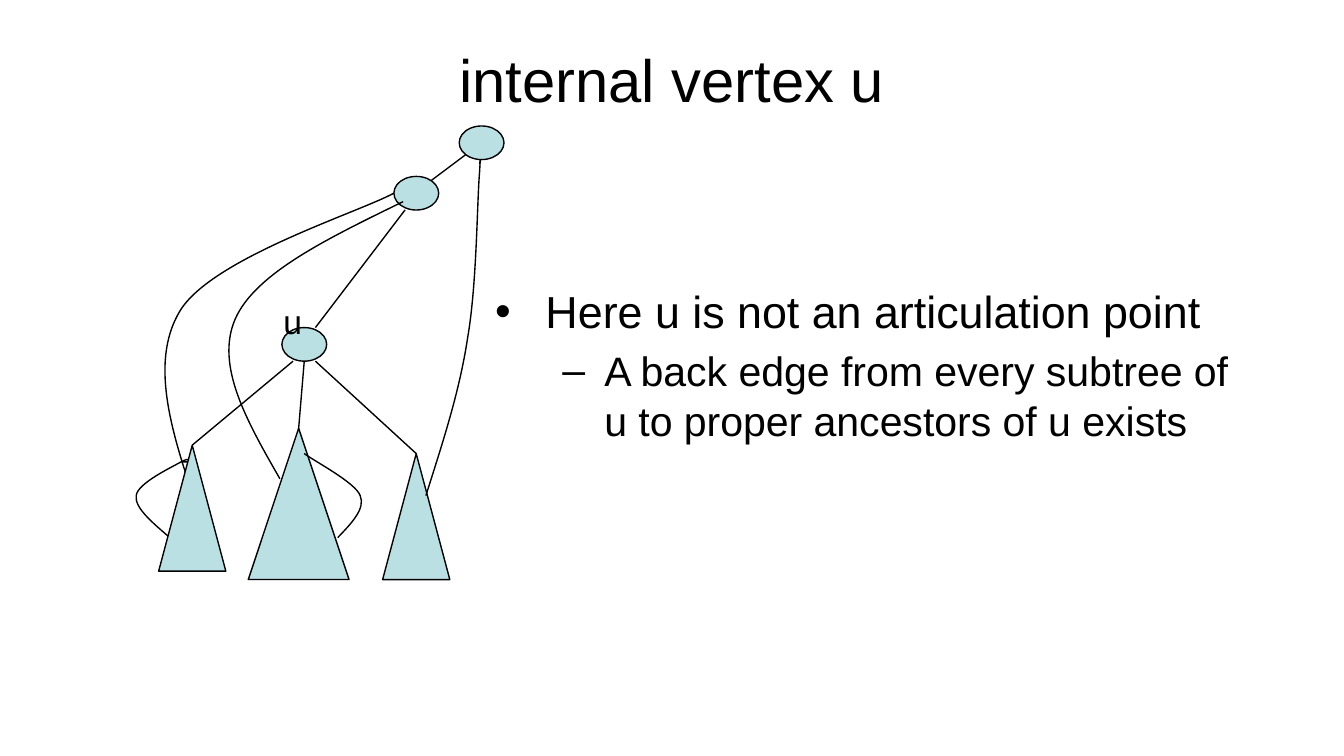
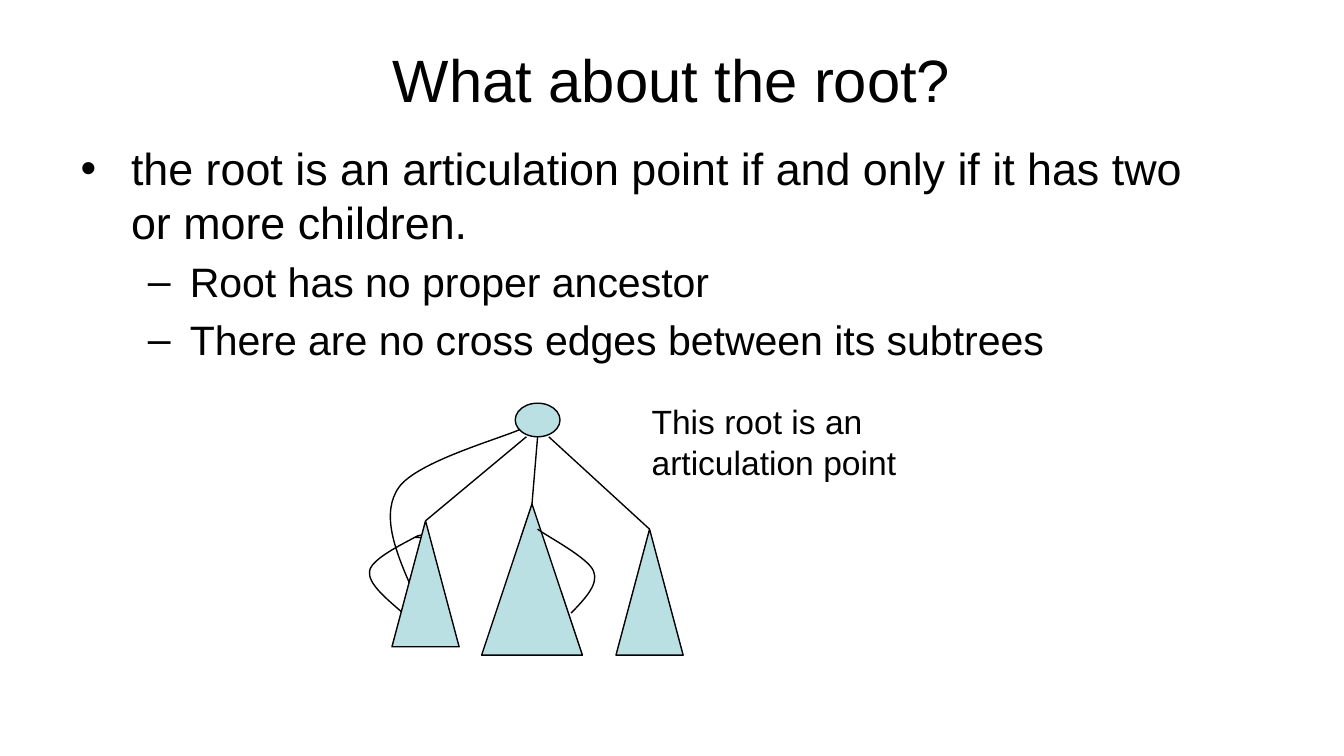
from lxml import etree
from pptx import Presentation
from pptx.dml.color import RGBColor
from pptx.enum import shapes, text
from pptx.oxml import ns
from pptx.util import Pt

BLACK = RGBColor(0x00, 0x00, 0x00)
PALE_TEAL = RGBColor(0xBB, 0xE0, 0xE3)
FONT = "Arial"
LINE_WIDTH = 0.75
NODE_SIZE = (24, 18)

# Per list level: bullet, text size, left margin, hanging indent, space before
LEVELS = [("•", 24, 27, 27, 0), ("–", 22, 58.5, 22.5, 4.4)]

# Subtree parts, measured from the top left corner of their parent vertex
SUBTREES = [(-66, 63, 36, 67.5), (-18, 54, 54, 81), (54, 67.5, 36, 67.5)]
OUTER_EDGES = [((-48, 63), (6, 18)), ((18, 18), (72, 67.5))]
MIDDLE_EDGE = ((6, 90), (12, 18))
LEFT_LOOP = [(-60, 112.5), (-69.4, 104.4), (-79, 96.5), (-78, 90),
             (-77.3, 83.5), (-59.3, 75), (-54, 72),
             (-49, 69), (-48, 72), (-48, 72),
             (-48, 72), (-51, 72), (-54, 72)]
RIGHT_LOOP = [(30, 112.5), (37.2, 105), (45, 97), (42, 90),
              (39.4, 83), (17, 71.3), (12, 67.5)]


def points(*values):
    return [Pt(value) for value in values]


def shifted(path_points, origin):
    return [(x + origin[0], y + origin[1]) for x, y in path_points]


def style_line(shape):
    shape.line.color.rgb = BLACK
    shape.line.width = Pt(LINE_WIDTH)


def add_span(para, words, size):
    span = para.add_run()
    span.text = words
    span.font.name = FONT
    span.font.size = Pt(size)
    span.font.color.rgb = BLACK


def place(box, frame):
    box.left, box.top, box.width, box.height = points(*frame)
    box.text_frame.auto_size = text.MSO_AUTO_SIZE.NONE


def add_page(deck, title, items, body_frame):
    """Add a slide with a title and a list of (level, words) items."""
    page = deck.slides.add_slide(deck.slide_layouts[1])
    place(page.shapes.title, (36, 16.5, 648, 51))
    page.shapes.title.text_frame.vertical_anchor = text.MSO_ANCHOR.MIDDLE
    para = page.shapes.title.text_frame.paragraphs[0]
    para.alignment = text.PP_ALIGN.CENTER
    add_span(para, title, 32)

    body = page.placeholders[1]
    place(body, body_frame)
    for index, (level, words) in enumerate(items):
        frame = body.text_frame
        para = frame.add_paragraph() if index else frame.paragraphs[0]
        add_bullet(para, level, words)
    return page


def add_bullet(para, level, words):
    bullet, size, margin, hanging, space = LEVELS[level]
    para.level = level
    para.space_before = Pt(space)
    add_span(para, words, size)
    props = para._p.get_or_add_pPr()
    props.set("marL", str(Pt(margin)))
    props.set("indent", str(-Pt(hanging)))
    color = etree.SubElement(props, ns.qn("a:buClr"))
    etree.SubElement(color, ns.qn("a:srgbClr"), val=str(BLACK))
    etree.SubElement(props, ns.qn("a:buFont"), typeface=FONT)
    etree.SubElement(props, ns.qn("a:buChar"), char=bullet)


def add_label(page, words, frame):
    box = page.shapes.add_textbox(*points(*frame))
    box.text_frame.word_wrap = True
    box.text_frame.auto_size = text.MSO_AUTO_SIZE.SHAPE_TO_FIT_TEXT
    add_span(box.text_frame.paragraphs[0], words, 18)


def add_filled(page, kind, frame):
    shape = page.shapes.add_shape(kind, *points(*frame))
    shape.shadow.inherit = False
    shape.fill.solid()
    shape.fill.fore_color.rgb = PALE_TEAL
    style_line(shape)


def add_node(page, corner):
    add_filled(page, shapes.MSO_SHAPE.OVAL, (*corner, *NODE_SIZE))


def add_edge(page, start, end):
    edge = page.shapes.add_connector(
        shapes.MSO_CONNECTOR.STRAIGHT, *points(*start, *end))
    style_line(edge)
    etree.SubElement(edge._element.spPr, ns.qn("a:effectLst"))


def add_curve(page, path_points):
    """Draw a start point followed by Bézier triples as one open curve."""
    start, *rest = [points(x, y) for x, y in path_points]
    builder = page.shapes.build_freeform(*start)
    builder.add_line_segments(rest, close=False)
    curve = builder.convert_to_shape()
    curve.shadow.inherit = False
    curve.fill.background()
    style_line(curve)
    segments = list(curve._element.iter(ns.qn("a:lnTo")))
    for first in range(0, len(segments), 3):
        triple = segments[first:first + 3]
        bezier = etree.Element(ns.qn("a:cubicBezTo"))
        triple[0].addprevious(bezier)
        for segment in triple:
            bezier.append(segment[0])
            segment.getparent().remove(segment)


def add_vertex_with_subtrees(page, corner):
    add_curve(page, shifted(LEFT_LOOP, corner))
    add_edge(page, *shifted(MIDDLE_EDGE, corner))
    for x, y, width, height in SUBTREES:
        add_filled(page, shapes.MSO_SHAPE.ISOSCELES_TRIANGLE,
                   (corner[0] + x, corner[1] + y, width, height))
    add_node(page, corner)
    for edge in OUTER_EDGES:
        add_edge(page, *shifted(edge, corner))
    add_curve(page, shifted(RIGHT_LOOP, corner))


def add_internal_vertex_page(deck):
    page = add_page(deck, "internal vertex u", [
        (0, "Here u is not an articulation point"),
        (1, "A back edge from every subtree of u to proper ancestors of u exists"),
    ], (258, 148.5, 420, 76.5))
    add_edge(page, (222, 103.5), (258, 76.5))
    add_curve(page, [(106.5, 274.5), (93, 234.7), (79.2, 195), (96.5, 166.5),
                     (113.8, 138.2), (192.2, 113.8), (211, 103.5)])
    add_vertex_with_subtrees(page, (151, 175.5))
    add_label(page, "u", (144.7, 157.5, 36, 21.6))
    add_edge(page, (169, 175.5), (217, 112.5))
    add_node(page, (211, 94.5))
    add_curve(page, [(228.2, 265.5), (237, 237.6), (246.2, 210.2), (250.6, 180.7),
                     (255.6, 152), (255.6, 107.3), (257, 92),
                     (257.8, 76.3), (257.8, 82), (257, 88)])
    add_node(page, (246, 67.5))
    add_curve(page, [(150, 256.5), (132.5, 226), (115.2, 196), (126, 171),
                     (136.8, 146.2), (176.4, 127.4), (216, 108)])


def add_root_page(deck):
    page = add_page(deck, "What about the root?", [
        (0, "the root is an articulation point if and only if it has two "
            "or more children."),
        (1, "Root has no proper ancestor"),
        (1, "There are no cross edges between its subtrees"),
    ], (36, 72, 606, 103.5))
    add_curve(page, [(220.5, 315), (211.7, 295), (203.8, 275), (213.8, 261),
                     (224, 247), (269.3, 234.7), (280, 229.5)])
    add_vertex_with_subtrees(page, (276, 216))
    add_label(page, "This root is an articulation point", (342, 211.5, 174, 38.2))


def main():
    deck = Presentation()
    deck.slide_width, deck.slide_height = points(720, 405)
    add_internal_vertex_page(deck)
    add_root_page(deck)
    deck.save("out.pptx")


if __name__ == "__main__":
    main()
